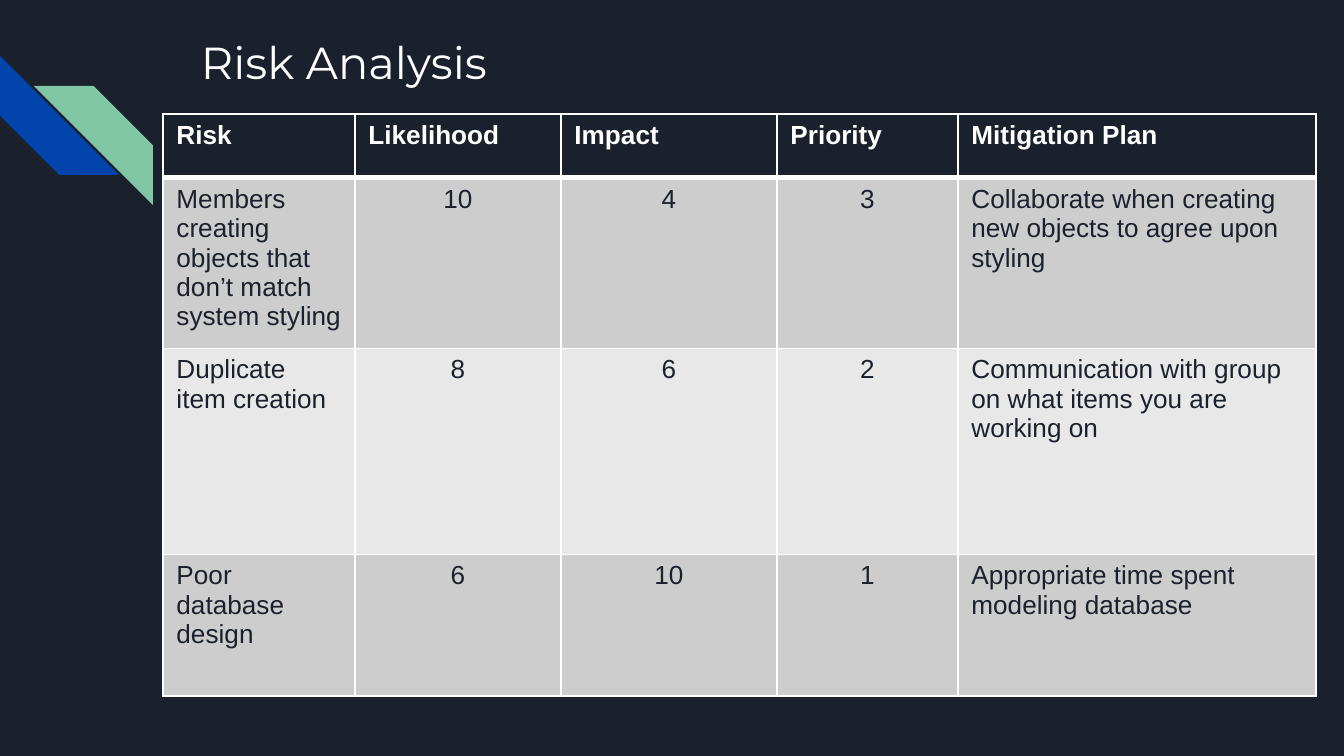
from lxml import etree
from pptx import Presentation
from pptx.dml.color import RGBColor
from pptx.enum.shapes import MSO_SHAPE
from pptx.enum.text import MSO_ANCHOR, PP_ALIGN
from pptx.oxml.ns import qn
from pptx.util import Emu, Pt

STRIPE = MSO_SHAPE.DIAGONAL_STRIPE
TOP = MSO_ANCHOR.TOP
LEFT, CENTER = PP_ALIGN.LEFT, PP_ALIGN.CENTER

NAVY = RGBColor(0x1B, 0x21, 0x2C)
BLUE = RGBColor(0x01, 0x45, 0xAC)
GREEN = RGBColor(0x82, 0xC7, 0xA5)
WHITE = RGBColor(0xFF, 0xFF, 0xFF)
GRAY = RGBColor(0xCD, 0xCD, 0xCD)
PALE = RGBColor(0xE8, 0xE8, 0xE8)

SCALE = 914400 / 134.4  # EMU per px

COLS = [192, 206, 216, 181, 358]
HEIGHTS = [64, 160, 206, 142]
ROWS = [
    ["Risk", "Likelihood", "Impact", "Priority", "Mitigation Plan"],
    ["Members creating objects that don’t match system styling",
     "10", "4", "3",
     "Collaborate when creating new objects to agree upon styling"],
    ["Duplicate item creation", "8", "6", "2",
     "Communication with group on what items you are working on"],
    ["Poor database design", "6", "10", "1",
     "Appropriate time spent modeling database"],
]


def px(num):
    return Emu(round(num * SCALE))


def add_run(para, text, font, size, color, bold=False):
    run = para.add_run()
    run.text = text
    run.font.name = font
    run.font.size = Pt(size)
    run.font.bold = bold
    run.font.color.rgb = color


def add_stripe(slide, left, top, side, color, turn=0, flip=False):
    shape = slide.shapes.add_shape(
        STRIPE, px(left), px(top), px(side), px(side))
    shape.shadow.inherit = False
    shape.fill.solid()
    shape.fill.fore_color.rgb = color
    shape.line.fill.background()
    shape.rotation = turn
    if flip:
        shape.element.spPr.find(qn("a:xfrm")).set("flipH", "1")


def add_title(slide, text):
    box = slide.shapes.add_textbox(px(188), px(22), px(1035), px(134))
    frame = box.text_frame
    frame.word_wrap = True
    frame.vertical_anchor = TOP
    frame.margin_left = frame.margin_right = px(13)
    frame.margin_top = frame.margin_bottom = px(13)
    add_run(frame.paragraphs[0], text, "Montserrat", 24, WHITE)


def set_edge(cell, side, width):
    props = cell._tc.get_or_add_tcPr()
    line = etree.SubElement(props, qn(f"a:ln{side}"), w=str(Pt(width)))
    fill = etree.SubElement(line, qn("a:solidFill"))
    etree.SubElement(fill, qn("a:srgbClr"), val=str(WHITE))


def fill_cell(cell, text, row, col):
    head = row == 0
    # Borders, with a thick rule under the header
    widths = {"L": 1, "R": 1, "T": 3 if row == 1 else 1, "B": 3 if head else 1}
    for side, width in widths.items():
        set_edge(cell, side, width)
    cell.fill.solid()
    cell.fill.fore_color.rgb = NAVY if head else GRAY if row % 2 else PALE
    # Scores are centred, words are not
    para = cell.text_frame.paragraphs[0]
    para.alignment = CENTER if not head and 0 < col < 4 else LEFT
    add_run(para, text, "Arial", 14, WHITE if head else NAVY, head)


def add_grid(slide):
    frame = slide.shapes.add_table(
        len(ROWS), len(COLS), px(163), px(114), px(sum(COLS)),
        px(sum(HEIGHTS)))
    table = frame.table
    for col, width in enumerate(COLS):
        table.columns[col].width = px(width)
    for row, texts in enumerate(ROWS):
        table.rows[row].height = px(HEIGHTS[row])
        for col, text in enumerate(texts):
            fill_cell(table.cell(row, col), text, row, col)


def main():
    deck = Presentation()
    deck.slide_width, deck.slide_height = px(1344), px(756)
    slide = deck.slides.add_slide(deck.slide_layouts[6])

    # Background
    back = slide.background.fill
    back.solid()
    back.fore_color.rgb = NAVY

    # Corner stripes
    add_stripe(slide, 0, 56, 119, BLUE, turn=270)
    add_stripe(slide, 34, 86, 119, GREEN, flip=True)

    # Title and risk table
    add_title(slide, "Risk Analysis")
    add_grid(slide)

    deck.save("out.pptx")


if __name__ == "__main__":
    main()
